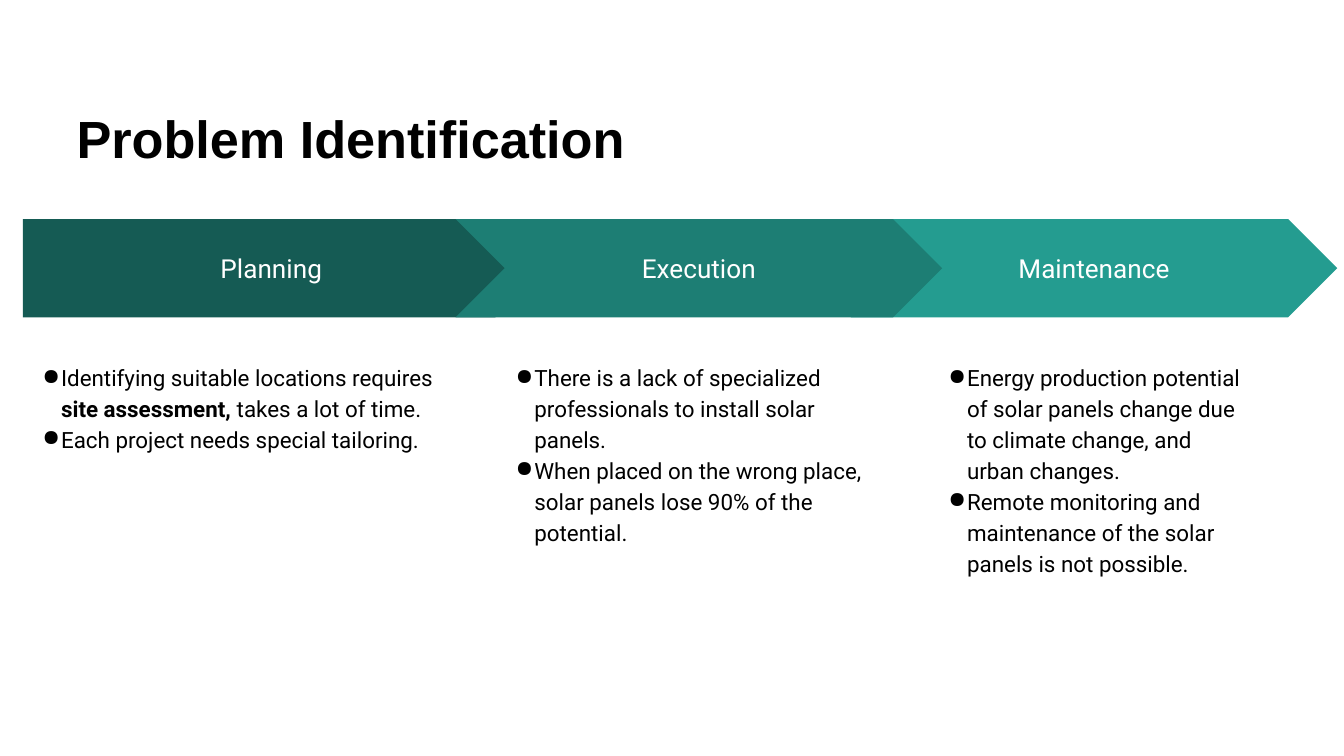
from lxml import etree
from pptx import Presentation
from pptx.dml.color import RGBColor
from pptx.enum.shapes import MSO_SHAPE
from pptx.enum.text import MSO_ANCHOR, MSO_AUTO_SIZE, PP_ALIGN
from pptx.oxml.ns import qn
from pptx.util import Pt

TOP, MIDDLE = MSO_ANCHOR.TOP, MSO_ANCHOR.MIDDLE
LEFT, CENTER = PP_ALIGN.LEFT, PP_ALIGN.CENTER
PENTAGON, CHEVRON = MSO_SHAPE.PENTAGON, MSO_SHAPE.CHEVRON
NO_AUTOFIT = MSO_AUTO_SIZE.NONE

COLORS = {
    "text": "000000",
    "label": "FFFFFF",
    "planning": "155B54",
    "execution": "1D7E74",
    "maintenance": "249C90",
}
INSET = 7.2
BAND_TOP, BAND_HEIGHT = 117.4, 52.6
NOTES_TOP, NOTES_HEIGHT = 185.8, 205.9


def write(frame, paragraphs, font="Roboto", size=12, color="text", bold=False,
          align=LEFT, anchor=TOP, spacing=1.0, bullet=None):
    """Fill a text frame; each paragraph is a list of texts, where **text** is bold."""
    frame.word_wrap = True
    frame.auto_size = NO_AUTOFIT
    frame.vertical_anchor = anchor
    frame.margin_left = frame.margin_right = Pt(INSET)
    frame.margin_top = frame.margin_bottom = Pt(INSET)
    for index, pieces in enumerate(paragraphs):
        paragraph = frame.add_paragraph() if index else frame.paragraphs[0]
        paragraph.alignment = align
        paragraph.line_spacing = spacing
        if bullet:
            properties = paragraph._p.get_or_add_pPr()
            properties.set("marL", str(Pt(13.5)))
            properties.set("indent", str(Pt(-10)))
            bullet_color = etree.SubElement(properties, qn("a:buClr"))
            etree.SubElement(bullet_color, qn("a:srgbClr"), val=COLORS[color])
            etree.SubElement(properties, qn("a:buChar"), char=bullet)
        for piece in pieces:
            run = paragraph.add_run()
            run.text = piece.strip("*")
            run.font.name = font
            run.font.size = Pt(size)
            run.font.bold = bold or piece.startswith("**")
            run.font.color.rgb = RGBColor.from_string(COLORS[color])


# Listed from back to front: each chevron's notch shows the step behind it.
STEPS = [
    ("Maintenance", CHEVRON, 455.8, 260.6, 497.5, 176.4, [
        ["Energy production potential of solar panels change due to climate change, "
         "and urban changes."],
        ["Remote monitoring and maintenance of the solar panels is not possible."],
    ]),
    ("Planning", PENTAGON, 12.2, 279.4, 12.2, 227.5, [
        ["Identifying suitable locations requires ", "**site assessment, **",
         "takes a lot of time."],
        ["Each project needs special tailoring."],
    ]),
    ("Execution", CHEVRON, 244.1, 260.6, 265.7, 210.2, [
        ["There is a lack of specialized professionals to install solar panels."],
        ["When placed on the wrong place, solar panels lose 90% of the potential."],
    ]),
]

presentation = Presentation()
presentation.slide_width, presentation.slide_height = Pt(720), Pt(405)
slide = presentation.slides.add_slide(presentation.slide_layouts[5])

title = slide.shapes.title
title.left, title.top, title.width, title.height = Pt(33.8), Pt(49.7), Pt(652.3), Pt(44.6)
write(title.text_frame, [["Problem Identification"]], font="Arial", size=28, bold=True)

for step, outline, band_left, band_width, notes_left, notes_width, notes in STEPS:
    band = slide.shapes.add_shape(
        outline, Pt(band_left), Pt(BAND_TOP), Pt(band_width), Pt(BAND_HEIGHT))
    band.adjustments[0] = 0.5
    band.shadow.inherit = False
    band.fill.solid()
    band.fill.fore_color.rgb = RGBColor.from_string(COLORS[step.lower()])
    band.line.fill.background()
    write(band.text_frame, [[step]], size=14, color="label", align=CENTER, anchor=MIDDLE)

    details = slide.shapes.add_textbox(
        Pt(notes_left), Pt(NOTES_TOP), Pt(notes_width), Pt(NOTES_HEIGHT))
    write(details.text_frame, notes, spacing=1.15, bullet="●")

presentation.save("out.pptx")
